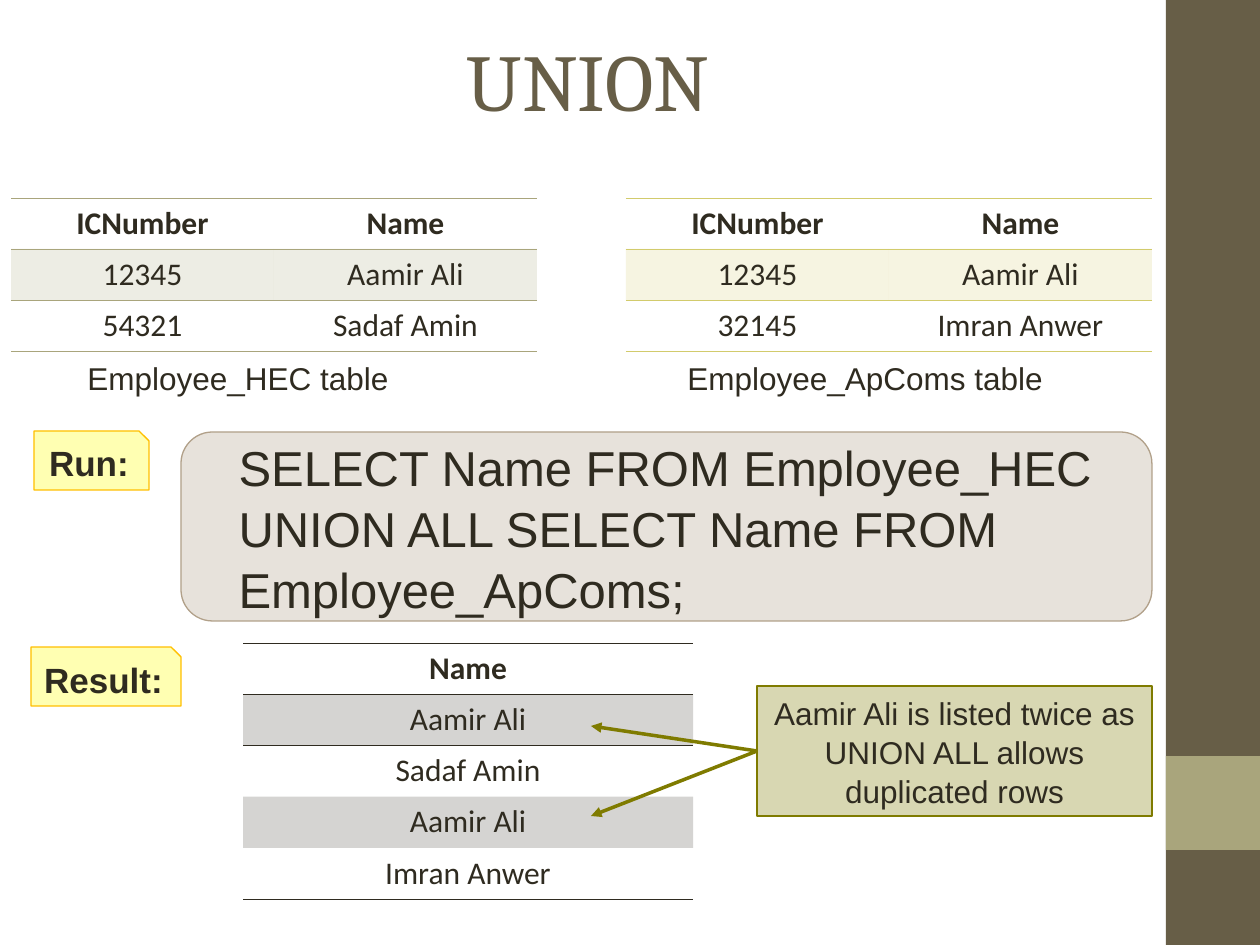
import lxml.etree
import pptx
import pptx.dml.color
import pptx.enum.shapes
import pptx.enum.text
import pptx.oxml.ns
import pptx.util

SCALE = 914400 / 126
HUES = {"brown": "675E47", "sage": "A9A57C", "ink": "2F2B20", "tan": "B1A089", "gold": "D2CB6C",
        "yellow": "FFFF00", "amber": "FFC000", "olive": "7F7B00"}
KIND = pptx.enum.shapes.MSO_SHAPE
ALIGN = pptx.enum.text.PP_ALIGN
MIDDLE = pptx.enum.text.MSO_ANCHOR.MIDDLE
TOP = pptx.enum.text.MSO_ANCHOR.TOP
PLAIN = "{2D5ABB26-0587-4C30-8999-92F81FD0307C}"
qn = pptx.oxml.ns.qn


def emu(*sizes):
    """Turn px lengths into EMU."""
    return [pptx.util.Emu(round(size * SCALE)) for size in sizes]


def rgb(hue):
    """Give the colour of a named hue."""
    return pptx.dml.color.RGBColor.from_string(HUES[hue])


def put(item, values):
    """Set each attribute from a dict."""
    for name, value in values.items():
        setattr(item, name, value)


def tint(fill, node, hue, part):
    """Fill with a hue at a given percent of cover."""
    fill.solid()
    fill.fore_color.rgb = rgb(hue)
    if part < 100:
        color = node.find(qn("a:solidFill")).find(qn("a:srgbClr"))
        lxml.etree.SubElement(color, qn("a:alpha"), val=str(part * 1000))


def write(frame, text, size, face="Arial", hue="ink", bold=False, align=ALIGN.LEFT,
          anchor=TOP, wrap=True, space=None):
    """Write one styled paragraph into a text frame."""
    put(frame, {"word_wrap": wrap, "vertical_anchor": anchor})
    para = frame.paragraphs[0]
    put(para, {"text": text, "alignment": align, "line_spacing": space})
    put(para.runs[0].font, {"name": face, "size": pptx.util.Pt(size), "bold": bold})
    para.runs[0].font.color.rgb = rgb(hue)
    return para


def block(slide, kind, box, hue, part=100, edge=None):
    """Draw a flat preset shape."""
    shape = slide.shapes.add_shape(kind, *emu(*box))
    shape.shadow.inherit = False
    tint(shape.fill, shape._element.spPr, hue, part)
    if edge:
        shape.line.color.rgb = rgb(edge)
        shape.line.width = pptx.util.Pt(0.75)
    else:
        shape.line.fill.background()
    return shape


def rule(cell, sides, hue):
    """Add thin rules to sides of a cell."""
    props = cell._tc.get_or_add_tcPr()
    for spot, side in enumerate(sides):
        line = lxml.etree.Element(qn("a:ln" + side), w="5715")
        fill = lxml.etree.SubElement(line, qn("a:solidFill"))
        lxml.etree.SubElement(fill, qn("a:srgbClr"), val=HUES[hue])
        props.insert(spot, line)


def grid(slide, box, rows, hue):
    """Place a banded table with rules around head and body."""
    table = slide.shapes.add_table(len(rows), len(rows[0]), *emu(*box)).table
    table._tbl.tblPr.find(qn("a:tableStyleId")).text = PLAIN
    last = len(rows) - 1
    for r, row in enumerate(rows):
        for c, text in enumerate(row):
            cell = table.cell(r, c)
            write(cell.text_frame, text, 18, "Calibri", bold=r == 0, align=ALIGN.CENTER)
            if r % 2:
                tint(cell.fill, cell._tc.tcPr, hue, 20)
            else:
                cell.fill.background()
            rule(cell, {0: "TB", 1: "T", last: "B"}.get(r, ""), hue)


def side(slide, box):
    """Place the side band and its accent square."""
    x, y, w, h = box
    block(slide, KIND.RECTANGLE, box, "brown")
    block(slide, KIND.RECTANGLE, (x, y + h - 189, w, w), "sage")


def title(slide, box, text):
    """Place the slide title."""
    frame = slide.shapes.add_textbox(*emu(*box)).text_frame
    write(frame, text, 46, "Cambria", "brown", align=ALIGN.CENTER, anchor=MIDDLE)


def source(slide, box, rows, hue, label, shift):
    """Place a source table with its caption below."""
    x, y, w, h = box
    grid(slide, box, rows, hue)
    frame = slide.shapes.add_textbox(*emu(x + shift, y + h, w - shift - 50, 51)).text_frame
    write(frame, label, 18, space=1.04)


def tag(slide, box, text):
    """Place a yellow step label."""
    shape = block(slide, KIND.SNIP_1_RECTANGLE, box, "yellow", 30, "amber")
    write(shape.text_frame, text, 20, bold=True, align=ALIGN.CENTER, anchor=MIDDLE, wrap=False)


def query(slide, box, text):
    """Place the step label and the statement."""
    x, y, w, h = box
    tag(slide, (x, y, 115, 59), "Run:")
    shape = block(slide, KIND.ROUNDED_RECTANGLE, (x + 147, y + 1, w - 147, h - 1), "tan", 30, "tan")
    para = write(shape.text_frame, text, 28, anchor=MIDDLE, space=1.04)
    para._p.get_or_add_pPr().set("marL", str(emu(36)[0]))


def arrow(slide, start, end):
    """Draw an arrow from the left side of a shape to a point."""
    line = slide.shapes.add_connector(pptx.enum.shapes.MSO_CONNECTOR.STRAIGHT, 0, 0, *emu(*end))
    line.begin_connect(start, 1)
    put(line.line, {"width": pptx.util.Pt(2)})
    line.line.color.rgb = rgb("olive")
    lxml.etree.SubElement(line.line._get_or_add_ln(), qn("a:tailEnd"), type="triangle")
    lxml.etree.SubElement(line._element.spPr, qn("a:effectLst"))


def result(slide, box, names, text):
    """Place the result table, its label and the note with arrows."""
    x, y, w, h = box
    grid(slide, (x + 212, y, 450, h), [[name] for name in names], "ink")
    tag(slide, (x, y + 4, 150, 59), "Result:")
    note = block(slide, KIND.RECTANGLE, (x + 726, y + 43, w - 726, 130), "olive", 30, "olive")
    write(note.text_frame, text, 18, align=ALIGN.CENTER, space=1.04)
    for drop in (83, 173):
        arrow(slide, note, (x + 560, y + drop))


def main():
    """Build and save the slide."""
    deck = pptx.Presentation()
    put(deck, dict(zip(("slide_width", "slide_height"), emu(1260, 945))))
    slide = deck.slides.add_slide(deck.slide_layouts[6])
    side(slide, (1166, 0, 94, 945))
    title(slide, (63, 0, 1050, 158), "UNION")
    head = ["ICNumber", "Name"]
    first = ["12345", "Aamir Ali"]
    source(slide, (11, 198, 526, 153), [head, first, ["54321", "Sadaf Amin"]],
           "sage", "Employee_HEC table", 64)
    source(slide, (626, 198, 526, 153), [head, first, ["32145", "Imran Anwer"]],
           "gold", "Employee_ApComs table", 49)
    query(slide, (34, 431, 1118, 190),
          "SELECT Name FROM Employee_HEC UNION ALL SELECT Name FROM Employee_ApComs;")
    result(slide, (31, 643, 1121, 256),
           ["Name", "Aamir Ali", "Sadaf Amin", "Aamir Ali", "Imran Anwer"],
           "Aamir Ali is listed twice as UNION ALL allows duplicated rows")
    deck.save("out.pptx")


if __name__ == "__main__":
    main()
